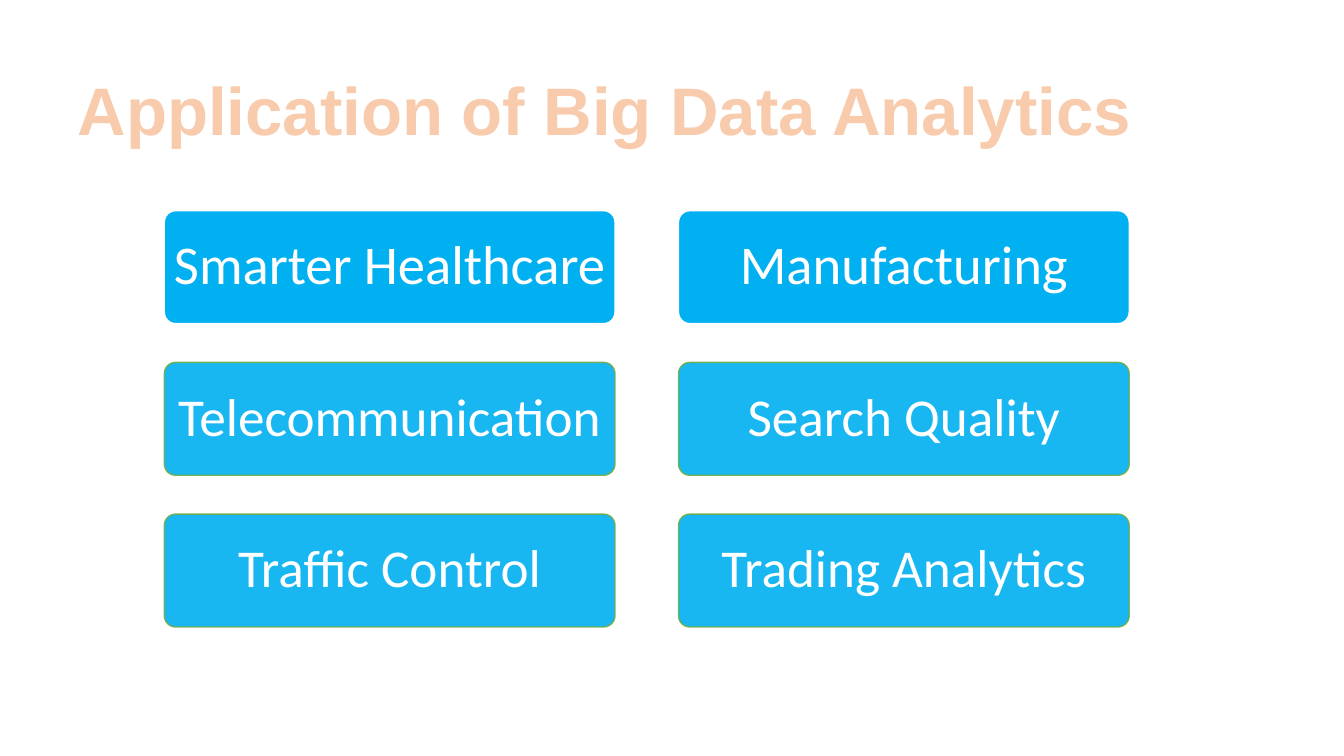
from dataclasses import dataclass
from typing import Any

from lxml.etree import SubElement
from pptx import Presentation
from pptx.dml.color import RGBColor
from pptx.enum.shapes import MSO_SHAPE
from pptx.enum.text import MSO_ANCHOR, MSO_AUTO_SIZE, PP_ALIGN
from pptx.oxml import parse_xml
from pptx.oxml.ns import nsdecls, qn
from pptx.util import Inches, Pt

LEFT, TOP = 1.63, 2.09
CARD_W, CARD_H = 4.47, 1.12
COL_STEP, ROW_STEP = 5.1, 1.505
OUTLINE = (
    f'<a:ln {nsdecls("a")} w="6600"><a:solidFill>'
    '<a:srgbClr val="ED7D31"/></a:solidFill></a:ln>'
)


@dataclass
class CardStyle:
    line: str
    size: int
    opacity: int


@dataclass
class Card:
    text: str
    col: int
    row: int
    style: CardStyle


HEAD = CardStyle("FFFFFF", 39, 100)
ITEM = CardStyle("70AD47", 38, 90)
COLUMNS = [
    ["Smarter Healthcare", "Telecommunication", "Traffic Control"],
    ["Manufacturing", "Search Quality", "Trading Analytics"],
]
CARDS = [
    Card(text, col, row, ITEM if row else HEAD)
    for col, texts in enumerate(COLUMNS)
    for row, text in enumerate(texts)
]


def rgb(value: str) -> RGBColor:
    return RGBColor.from_string(value)


def apply(target: Any, values: dict[str, Any]) -> None:
    for name, value in values.items():
        setattr(target, name, value)


def paint(fill: Any, color: str) -> None:
    fill.solid()
    fill.fore_color.rgb = rgb(color)


def write(tf: Any, text: str, align: PP_ALIGN, font: dict[str, Any], color: str) -> Any:
    apply(tf, {"auto_size": MSO_AUTO_SIZE.NONE, "vertical_anchor": MSO_ANCHOR.MIDDLE})
    p = tf.paragraphs[0]
    apply(p, {"alignment": align, "line_spacing": 0.9})
    r = p.add_run()
    r.text = text
    apply(r.font, font)
    r.font.color.rgb = rgb(color)
    return r


def add_title(s: Any, text: str) -> None:
    sp = s.shapes.title
    box = {"left": 0.67, "top": 0.4, "width": 12.78, "height": 1.45}
    apply(sp, {name: Inches(value) for name, value in box.items()})
    font = {"name": "Arial", "size": Pt(48), "bold": True}
    r = write(sp.text_frame, text, PP_ALIGN.LEFT, font, "F8CBAD")
    r._r.get_or_add_rPr().insert(0, parse_xml(OUTLINE))


def add_card(s: Any, card: Card) -> None:
    sp = s.shapes.add_shape(
        MSO_SHAPE.ROUNDED_RECTANGLE,
        Inches(LEFT + card.col * COL_STEP),
        Inches(TOP + card.row * ROW_STEP),
        Inches(CARD_W),
        Inches(CARD_H),
    )
    sp.adjustments[0] = 0.1
    sp.shadow.inherit = False
    paint(sp.fill, "00B0F0")
    paint(sp.line.fill, card.style.line)
    sp.line.width = Pt(1)
    if card.style.opacity < 100:
        for color in sp._element.spPr.iter(qn("a:srgbClr")):
            SubElement(color, qn("a:alpha"), val=str(card.style.opacity * 1000))
    tf = sp.text_frame
    sides = ("left", "top", "right", "bottom")
    apply(tf, {f"margin_{side}": Inches(0.05) for side in sides})
    tf.word_wrap = False
    font = {"name": "Calibri", "size": Pt(card.style.size)}
    write(tf, card.text, PP_ALIGN.CENTER, font, "FFFFFF")


def main() -> None:
    prs = Presentation()
    apply(prs, {"slide_width": Inches(13.33), "slide_height": Inches(7.5)})
    s = prs.slides.add_slide(prs.slide_layouts[5])
    paint(s.background.fill, "FFFFFF")
    add_title(s, "Application of Big Data Analytics")
    for card in CARDS:
        add_card(s, card)
    prs.save("out.pptx")


if __name__ == "__main__":
    main()
